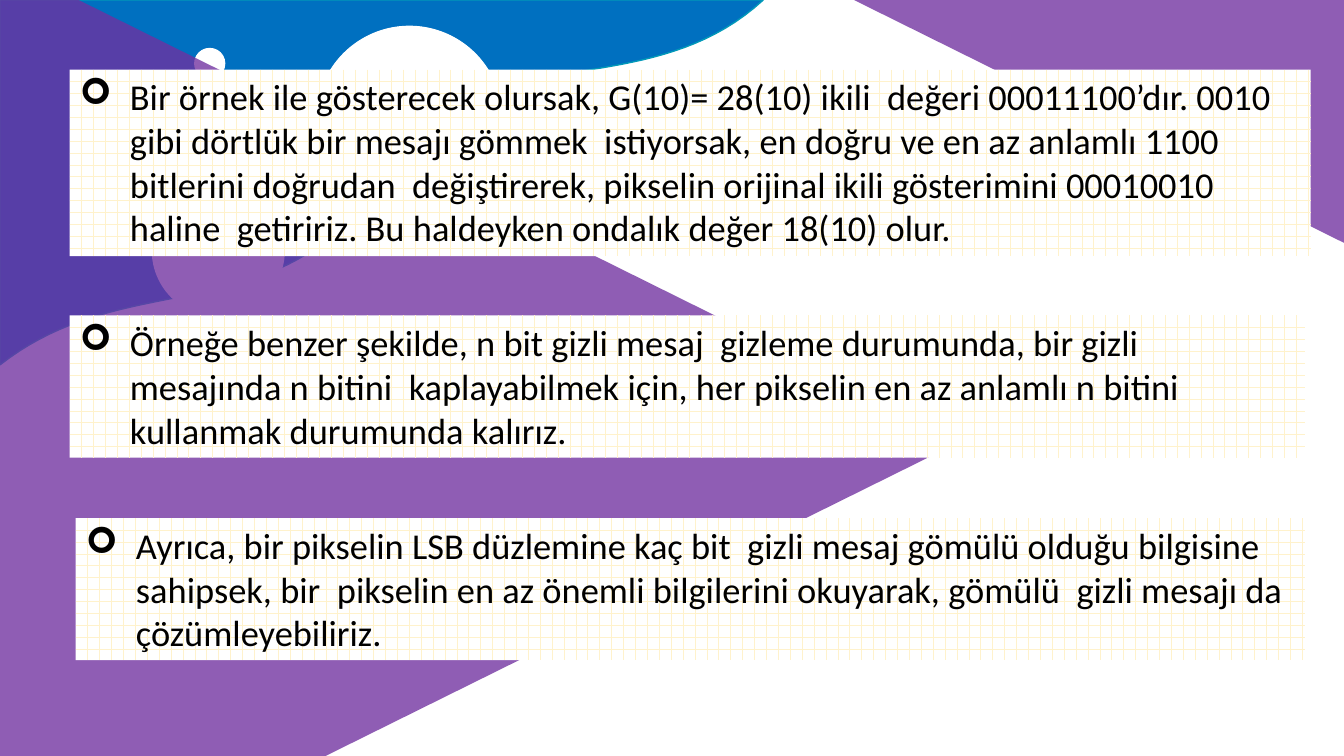
from lxml.etree import SubElement
from pptx import Presentation
from pptx.dml.color import RGBColor
from pptx.enum.dml import MSO_PATTERN
from pptx.enum.shapes import MSO_SHAPE
from pptx.enum.text import MSO_AUTO_SIZE
from pptx.oxml.ns import qn
from pptx.util import Inches, Pt

WIDTH, HEIGHT = Inches(13.33), Inches(7.5)

# All places are percentages of the slide's width and height
WAVE_CURVES = [
    [(56.79, 0), (47.71, 14.93), (34.43, 3.73), (28.66, 23.47)],
    [(28.66, 23.47), (20.56, 44.53), (9.68, 34.8), (0, 48.27)],
]
BUBBLES = [  # left, top, diameter as a share of the height
    (22.96, 47.73, 8.53),
    (6.68, 10.67, 6.4),
    (11.33, 24.4, 17.47),
    (23.56, 3.47, 24.53),
    (9.53, 22.27, 9.2),
    (14.48, 6.4, 4),
]
PURPLE_CONTOURS = [
    [(63.54, 0), (100, 0), (100, 32.13)],
    [(0, 0), (5.85, 0), (71.79, 58.13), (24.23, 100), (0, 100)],
]
PANELS = [  # left, top, width, height, text
    (5.18, 9.2, 92.35, 24.67,
     "Bir örnek ile gösterecek olursak, G(10)= 28(10) ikili  değeri 00011100’dır. "
     "0010 gibi dörtlük bir mesajı gömmek  istiyorsak, en doğru ve en az anlamlı "
     "1100 bitlerini doğrudan  değiştirerek, pikselin orijinal ikili gösterimini "
     "00010010 haline  getiririz. Bu haldeyken ondalık değer 18(10) olur."),
    (5.18, 41.73, 91.9, 18.8,
     "Örneğe benzer şekilde, n bit gizli mesaj  gizleme durumunda, bir gizli "
     "mesajında n bitini  kaplayabilmek için, her pikselin en az anlamlı n bitini  "
     "kullanmak durumunda kalırız."),
    (5.63, 68.53, 91.45, 18.8,
     "Ayrıca, bir pikselin LSB düzlemine kaç bit  gizli mesaj gömülü olduğu "
     "bilgisine sahipsek, bir  pikselin en az önemli bilgilerini okuyarak, gömülü  "
     "gizli mesajı da çözümleyebiliriz."),
]


def color(value):
    return RGBColor.from_string(value)


def across(share):
    return round(WIDTH * share / 100)


def down(share):
    return round(HEIGHT * share / 100)


def curve_points(curve, steps=40):
    """Points along a cubic curve given by its four control points."""
    points = []
    for step in range(steps + 1):
        t = step / steps
        weights = ((1 - t) ** 3, 3 * t * (1 - t) ** 2, 3 * t * t * (1 - t), t ** 3)
        points.append(tuple(sum(weight * point[axis] for weight, point in zip(weights, curve))
                            for axis in (0, 1)))
    return points


def paint(shape, fill, line=None, line_width=1):
    shape.shadow.inherit = False
    shape.fill.solid()
    shape.fill.fore_color.rgb = color(fill)
    if line:
        shape.line.color.rgb = color(line)
        shape.line.width = Pt(line_width)
    else:
        shape.line.fill.background()


def add_outline(slide, contours):
    contours = [[(across(x), down(y)) for x, y in contour] for contour in contours]
    builder = slide.shapes.build_freeform(*contours[0][0])
    for contour in contours:
        builder.move_to(*contour[0])
        builder.add_line_segments(contour[1:], close=True)
    return builder.convert_to_shape()


def add_bubble(slide, left, top, diameter):
    bubble = slide.shapes.add_shape(
        MSO_SHAPE.OVAL, across(left), down(top), down(diameter), down(diameter))
    paint(bubble, "FFFFFF", "FFFFFF", 0.75)


def add_panel(slide, left, top, width, height, text):
    panel = slide.shapes.add_textbox(across(left), down(top), across(width), down(height))
    panel.fill.patterned()
    panel.fill.pattern = MSO_PATTERN.HORIZONTAL_BRICK
    panel.fill.fore_color.rgb = color("FFF2CC")
    panel.fill.back_color.rgb = color("FFFFFF")

    text_frame = panel.text_frame
    text_frame.word_wrap = True
    text_frame.auto_size = MSO_AUTO_SIZE.SHAPE_TO_FIT_TEXT
    text_frame.text = text
    paragraph = text_frame.paragraphs[0]
    font = paragraph.runs[0].font
    font.name, font.size = "Calibri", Pt(26)
    font.color.rgb = color("000000")

    # Arrow bullet with a hanging indent
    properties = paragraph._p.get_or_add_pPr()
    properties.set("marL", str(Inches(0.5)))
    properties.set("indent", str(-Inches(0.5)))
    SubElement(properties, qn("a:buFont"), typeface="Wingdings")
    SubElement(properties, qn("a:buChar"), char="➢")


def main():
    presentation = Presentation()
    presentation.slide_width, presentation.slide_height = WIDTH, HEIGHT
    slide = presentation.slides.add_slide(presentation.slide_layouts[6])

    # Blue wave in the top left corner
    wave_points = [point for curve in WAVE_CURVES for point in curve_points(curve)]
    wave = add_outline(slide, [[(0, 0)] + wave_points])
    paint(wave, "0070C0", "0299B9")

    for bubble in BUBBLES:
        add_bubble(slide, *bubble)

    # Translucent purple areas over the wave and bubbles
    purple = add_outline(slide, PURPLE_CONTOURS)
    paint(purple, "7030A0")
    fill_color = purple._element.spPr.find(qn("a:solidFill"))[0]
    SubElement(fill_color, qn("a:alpha"), val="78000")

    for panel in PANELS:
        add_panel(slide, *panel)

    presentation.save("out.pptx")


if __name__ == "__main__":
    main()
